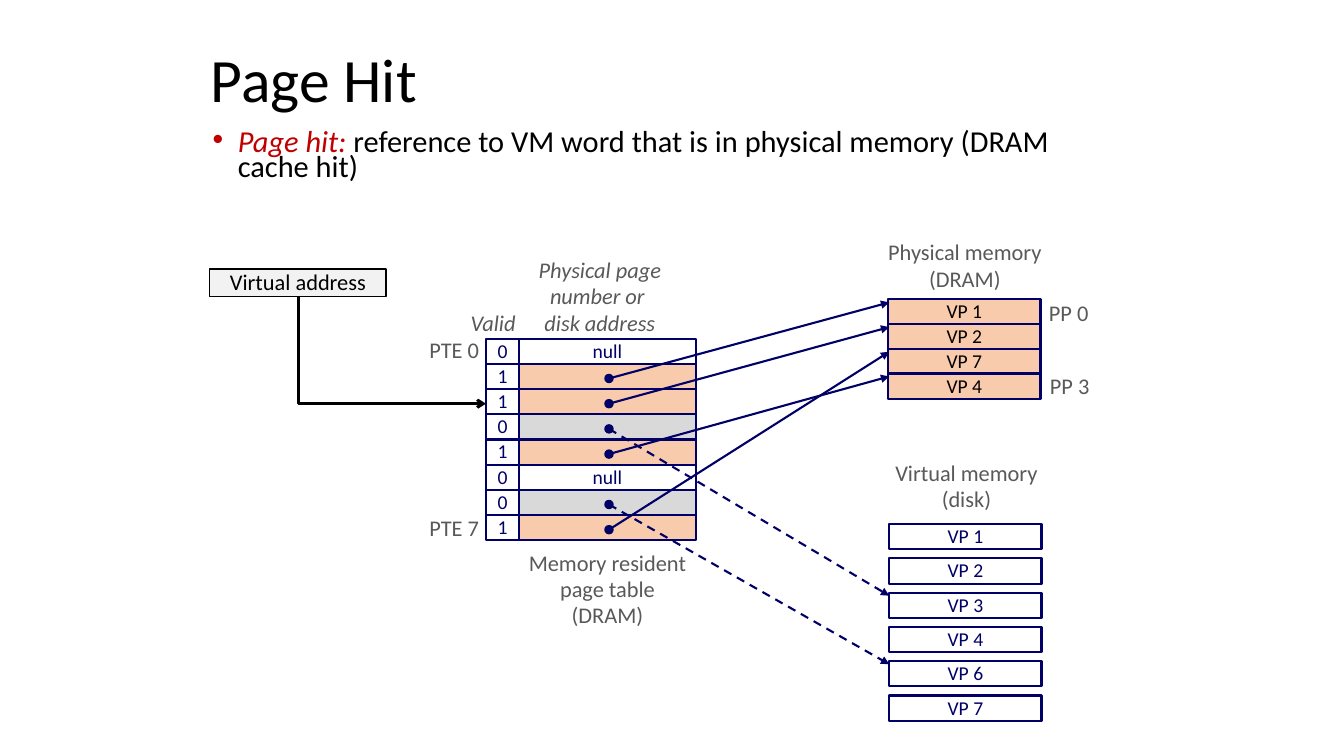
from dataclasses import dataclass
from typing import Optional

import lxml.etree
import pptx
import pptx.dml.color
import pptx.enum.dml
import pptx.enum.shapes
import pptx.enum.text
import pptx.oxml.ns
import pptx.util

RGBColor = pptx.dml.color.RGBColor
Align = pptx.enum.text.PP_ALIGN
Anchor = pptx.enum.text.MSO_ANCHOR
Preset = pptx.enum.shapes.MSO_SHAPE
ConnectorKind = pptx.enum.shapes.MSO_CONNECTOR

NAVY = RGBColor(0x00, 0x00, 0x66)
BLACK = RGBColor(0x00, 0x00, 0x00)
WHITE = RGBColor(0xFF, 0xFF, 0xFF)
GRAY = RGBColor(0x59, 0x59, 0x59)
RED = RGBColor(0xC0, 0x00, 0x00)
CACHED = RGBColor(0xF8, 0xCB, 0xAD)
ON_DISK = RGBColor(0xD9, 0xD9, 0xD9)
PALE = RGBColor(0xF2, 0xF2, 0xF2)
FONT = "Calibri"

# All lengths below count square grid units; one page table row is one unit high.
UNIT = 0.25
TABLE_TOP = 13.44
VALID_LEFT, VALID_WIDTH = 19.28, 1.32
ADDRESS_LEFT, ADDRESS_WIDTH = VALID_LEFT + VALID_WIDTH, 7
DOT_CENTER, DOT_SIZE, DOT_DROP = 24.16, 0.32, 0.58
PAGE_WIDTH = 6.04
ARROW_DROP = 0.12


@dataclass(frozen=True)
class Area:
    """A rectangle in grid units."""
    left: float
    top: float
    width: float
    height: float


@dataclass(frozen=True)
class Run:
    """A piece of text with one look."""
    text: str
    size: float
    color: RGBColor
    italic: bool = False


@dataclass(frozen=True)
class Label:
    """A grey caption of one or more lines."""
    area: Area
    lines: tuple[str, ...]
    align: Align = Align.CENTER
    anchor: Anchor = Anchor.TOP
    italic: bool = False


@dataclass(frozen=True)
class PageStack:
    """A column of memory pages with a constant pitch."""
    left: float
    top: float
    pitch: float
    fill: RGBColor
    color: RGBColor
    pages: tuple[str, ...]

    def row_top(self, page: str) -> float:
        """Return the top of the named page."""
        return self.top + self.pages.index(page) * self.pitch


@dataclass(frozen=True)
class Entry:
    """A page table entry and the page it points to, if any."""
    valid: int
    page: Optional[str] = None


PHYSICAL = PageStack(35.24, 11.88, 0.98, CACHED, BLACK, ("VP 1", "VP 2", "VP 7", "VP 4"))
DISK = PageStack(35.28, 20.8, 1.36, WHITE, NAVY,
                 ("VP 1", "VP 2", "VP 3", "VP 4", "VP 6", "VP 7"))
ENTRIES = (Entry(0), Entry(1, "VP 1"), Entry(1, "VP 2"), Entry(0, "VP 3"),
           Entry(1, "VP 4"), Entry(0), Entry(0, "VP 6"), Entry(1, "VP 7"))
LABELS = (
    Label(Area(20.4, 21.64, 7.4, 3.56), ("Memory resident", "page table", "(DRAM)")),
    Label(Area(34.72, 9.32, 7.12, 2.52), ("Physical memory", "(DRAM)")),
    Label(Area(34.96, 18.08, 6.76, 2.52), ("Virtual memory", "(disk)")),
    Label(Area(18.28, 12.12, 3, 1.48), ("Valid",), Align.LEFT, italic=True),
    Label(Area(20.88, 10, 5.84, 3.56), ("Physical page", "number or ", "disk address"),
          anchor=Anchor.MIDDLE, italic=True),
    Label(Area(16.6, 13.16, 2.8, 1.48), ("PTE 0",), Align.RIGHT, Anchor.MIDDLE),
    Label(Area(16.6, 20.24, 2.8, 1.48), ("PTE 7",), Align.RIGHT, Anchor.MIDDLE),
    Label(Area(41.2, 11.72, 2.4, 1.48), ("PP 0",), anchor=Anchor.MIDDLE),
    Label(Area(41.24, 14.6, 2.4, 1.48), ("PP 3",), anchor=Anchor.MIDDLE),
)


def grid(count: float) -> pptx.util.Length:
    """Turn grid units into a length."""
    return pptx.util.Inches(count * UNIT)


def frame(area: Area) -> tuple[pptx.util.Length, ...]:
    """Return left, top, width and height of an area as lengths."""
    return grid(area.left), grid(area.top), grid(area.width), grid(area.height)


def write(shape, lines: list[list[Run]], align: Align, anchor: Anchor,
          spacing: float = 0.98, wrap: bool = False) -> None:
    """Fill a shape with paragraphs made of runs."""
    text_frame = shape.text_frame
    text_frame.word_wrap = wrap
    text_frame.vertical_anchor = anchor
    for index, runs in enumerate(lines):
        paragraph = text_frame.add_paragraph() if index else text_frame.paragraphs[0]
        paragraph.alignment = align
        paragraph.line_spacing = spacing
        for item in runs:
            run = paragraph.add_run()
            run.text = item.text
            run.font.name = FONT
            run.font.size = pptx.util.Pt(item.size)
            run.font.italic = item.italic
            run.font.color.rgb = item.color


def draw_shape(slide, area: Area, fill: Optional[RGBColor], run: Optional[Run] = None,
               preset: Preset = Preset.RECTANGLE, line: RGBColor = NAVY,
               line_width: float = 1.5) -> None:
    """Draw an outlined shape with an optional centred text."""
    shape = slide.shapes.add_shape(preset, *frame(area))
    shape.shadow.inherit = False
    if fill is None:
        shape.fill.background()
    else:
        shape.fill.solid()
        shape.fill.fore_color.rgb = fill
    shape.line.color.rgb = line
    shape.line.width = pptx.util.Pt(line_width)
    if run:
        write(shape, [[run]], Align.CENTER, Anchor.MIDDLE)


def draw_connector(slide, kind: ConnectorKind, start: tuple[float, float],
                   end: tuple[float, float], color: RGBColor, width: float,
                   head: str, dashed: bool = False):
    """Draw a connector with an arrowhead at its end."""
    connector = slide.shapes.add_connector(kind, *map(grid, start + end))
    connector.line.color.rgb = color
    connector.line.width = pptx.util.Pt(width)
    if dashed:
        connector.line.dash_style = pptx.enum.dml.MSO_LINE.DASH
    properties = connector._element.spPr
    lxml.etree.SubElement(properties.find(pptx.oxml.ns.qn("a:ln")),
                          pptx.oxml.ns.qn("a:tailEnd"), type=head)
    lxml.etree.SubElement(properties, pptx.oxml.ns.qn("a:effectLst"))
    return connector


def draw_stack(slide, stack: PageStack) -> None:
    """Draw the pages of a memory."""
    for page in stack.pages:
        draw_shape(slide, Area(stack.left, stack.row_top(page), PAGE_WIDTH, 1),
                   stack.fill, Run(page, 14, stack.color))


def draw_entry(slide, index: int, entry: Entry) -> None:
    """Draw one row of the page table."""
    top = TABLE_TOP + index
    fill, run = (CACHED if entry.valid else ON_DISK), None
    if entry.page is None:
        fill, run = WHITE, Run("null", 14, NAVY)
    draw_shape(slide, Area(ADDRESS_LEFT, top, ADDRESS_WIDTH, 1), fill, run)
    draw_shape(slide, Area(VALID_LEFT, top, VALID_WIDTH, 1), None,
               Run(str(entry.valid), 14, NAVY))


def draw_pointer(slide, index: int, entry: Entry) -> None:
    """Draw the dot of an entry and the arrow to its page."""
    stack = PHYSICAL if entry.valid else DISK
    center = TABLE_TOP + index + DOT_DROP
    draw_shape(slide, Area(DOT_CENTER - DOT_SIZE / 2, center - DOT_SIZE / 2, DOT_SIZE, DOT_SIZE),
               NAVY, preset=Preset.OVAL, line_width=1)
    draw_connector(slide, ConnectorKind.STRAIGHT, (DOT_CENTER, center),
                   (DISK.left, stack.row_top(entry.page) + ARROW_DROP),
                   NAVY, 1.5, "triangle", dashed=not entry.valid)


def draw_heading(slide) -> None:
    """Write the title and the bulleted definition."""
    title = slide.shapes.add_textbox(*frame(Area(7.96, 1.56, 36.24, 3.44)))
    write(title, [[Run("Page Hit", 44, BLACK)]], Align.LEFT, Anchor.MIDDLE, 0.9, True)
    body = slide.shapes.add_textbox(*frame(Area(8.04, 5.04, 36.36, 2.64)))
    definition = "reference to VM word that is in physical memory (DRAM cache hit)"
    write(body, [[Run("Page hit: ", 21.7, RED, True), Run(definition, 21.7, BLACK)]],
          Align.LEFT, Anchor.TOP, 0.7, True)
    paragraph = body.text_frame.paragraphs[0]
    paragraph.space_before = pptx.util.Pt(10)
    properties = paragraph._p.get_or_add_pPr()
    properties.set("marL", str(grid(1)))
    properties.set("indent", str(-grid(1)))
    lxml.etree.SubElement(properties, pptx.oxml.ns.qn("a:buFont"), typeface="Arial")
    lxml.etree.SubElement(properties, pptx.oxml.ns.qn("a:buChar"), char="•")


def draw_lookup(slide) -> None:
    """Draw the virtual address and its right-angled arrow to entry 2."""
    draw_shape(slide, Area(8.32, 10.68, 7, 1.08), PALE, Run("Virtual address", 16, BLACK),
               line=BLACK, line_width=1)
    left, top, right, bottom = 11.84, 11.74, VALID_LEFT, TABLE_TOP + 2.58
    across, down = (right - left) / 2, (bottom - top) / 2
    middle_x, middle_y = left + across, top + down
    # A quarter turn swaps the sides of the frame around its centre.
    elbow = draw_connector(slide, ConnectorKind.ELBOW, (middle_x - down, middle_y - across),
                           (middle_x + down, middle_y + across), BLACK, 2, "arrow")
    elbow.rotation = 270
    properties = elbow._element.spPr
    properties.find(pptx.oxml.ns.qn("a:xfrm")).set("rot", str(270 * 60000))
    properties.find(pptx.oxml.ns.qn("a:xfrm")).set("flipH", "1")
    properties.find(pptx.oxml.ns.qn("a:prstGeom")).set("prst", "bentConnector2")


def main() -> None:
    """Build and save the slide."""
    presentation = pptx.Presentation()
    presentation.slide_width = pptx.util.Inches(13.33)
    presentation.slide_height = pptx.util.Inches(7.5)
    slide = presentation.slides.add_slide(presentation.slide_layouts[6])
    draw_heading(slide)
    for index, entry in enumerate(ENTRIES):
        draw_entry(slide, index, entry)
    for stack in (PHYSICAL, DISK):
        draw_stack(slide, stack)
    for label in LABELS:
        box = slide.shapes.add_textbox(*frame(label.area))
        write(box, [[Run(line, 16, GRAY, label.italic)] for line in label.lines],
              label.align, label.anchor)
    for index, entry in enumerate(ENTRIES):
        if entry.page:
            draw_pointer(slide, index, entry)
    draw_lookup(slide)
    presentation.save("out.pptx")


main()
